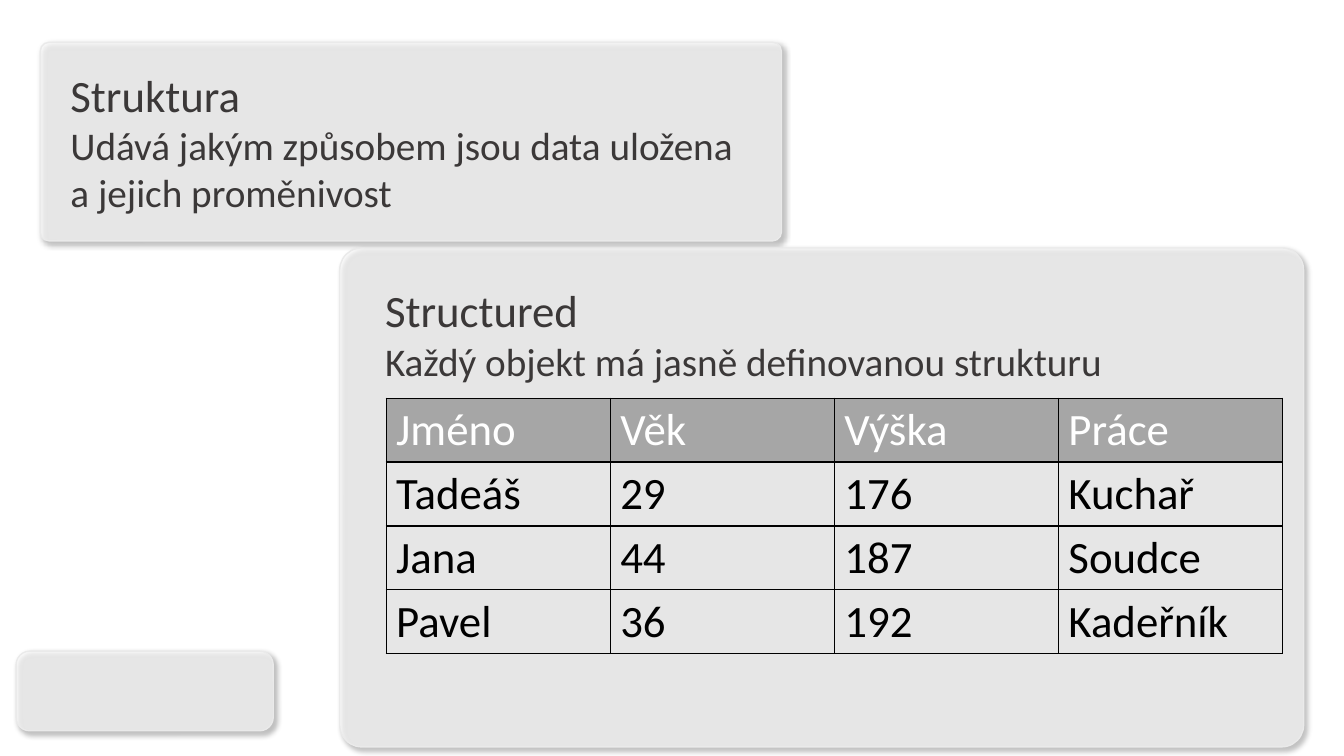
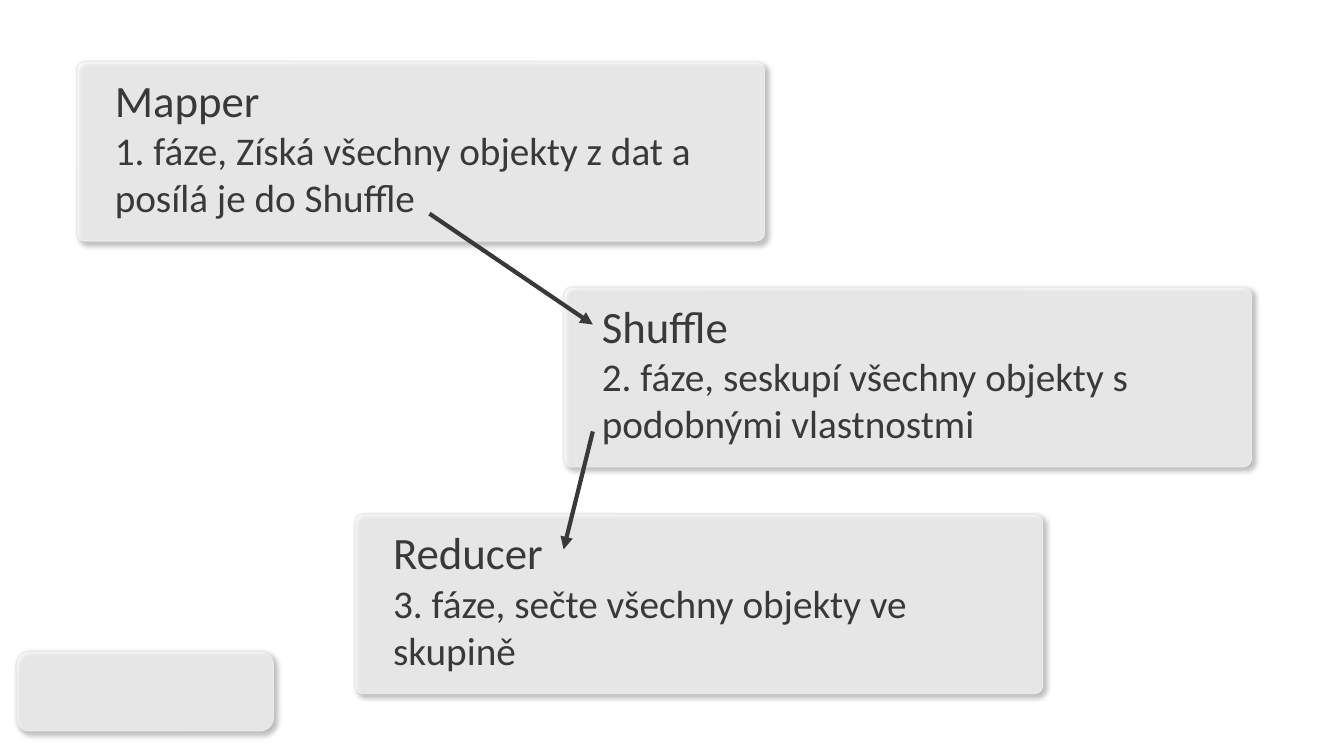
from lxml.etree import SubElement
from pptx import Presentation
from pptx.dml.color import RGBColor
from pptx.enum.shapes import MSO_CONNECTOR, MSO_SHAPE
from pptx.enum.text import MSO_AUTO_SIZE
from pptx.oxml import parse_xml
from pptx.oxml.ns import nsdecls, qn
from pptx.util import Inches, Pt

COLORS = {
    "panel": "FFFFFF",
    "edge": "EAEAEA",
    "ink": "3B3838",
    "head": "A6A6A6",
    "light": "FFFFFF",
    "dark": "000000",
}
FONT = "Calibri"
HEAD_SIZE, BODY_SIZE = 32, 28
STEP_SIZE = (6.82, 1.78)
ROWS = [
    ["Jméno", "Věk", "Výška", "Práce"],
    ["Tadeáš", "29", "176", "Kuchař"],
    ["Jana", "44", "187", "Soudce"],
    ["Pavel", "36", "192", "Kadeřník"],
]
STEPS = [
    (0.76, 0.61, ["Mapper", "1. fáze, Získá všechny objekty z dat a",
                  "posílá je do Shuffle"]),
    (5.59, 2.85, ["Shuffle", "2. fáze, seskupí všechny objekty s podobnými vlastnostmi"]),
    (3.52, 5.1, ["Reducer", "3. fáze, sečte všechny objekty ve skupině"]),
]
ARROWS = [((4.26, 2.12), (5.88, 3.22)), ((5.88, 4.28), (5.59, 5.45))]


def color(name):
    """Return the named colour."""
    return RGBColor.from_string(COLORS[name])


def style(par, size, name):
    """Format the runs of a paragraph."""
    for run in par.runs:
        run.font.name = FONT
        run.font.size = Pt(size)
        run.font.bold = False
        run.font.color.rgb = color(name)


def add_panel(slide, left, top, width, height, round_by=0.044):
    """Add a translucent rounded panel with a soft shadow."""
    panel = slide.shapes.add_shape(
        MSO_SHAPE.ROUNDED_RECTANGLE,
        Inches(left), Inches(top), Inches(width), Inches(height))
    panel.adjustments[0] = round_by
    panel.fill.solid()
    panel.fill.fore_color.rgb = color("panel")
    tint = panel.fill._xPr.find(qn("a:solidFill"))[0]
    SubElement(tint, qn("a:alpha"), val="60000")
    panel.line.color.rgb = color("edge")
    panel.line.width = Pt(1)
    panel.shadow.inherit = False
    glow = panel._element.spPr.find(qn("a:effectLst"))
    glow.append(parse_xml(
        f'<a:outerShdw {nsdecls("a")} blurRad="{Pt(4)}" dist="{Pt(3)}" '
        f'dir="2700000" algn="tl" rotWithShape="0">'
        f'<a:srgbClr val="{COLORS["dark"]}"><a:alpha val="40000"/></a:srgbClr>'
        f'</a:outerShdw>'))


def add_text(slide, left, top, width, height, lines):
    """Add a heading with body lines below it."""
    box = slide.shapes.add_textbox(
        Inches(left), Inches(top), Inches(width), Inches(height))
    frame = box.text_frame
    frame.word_wrap = True
    frame.auto_size = MSO_AUTO_SIZE.SHAPE_TO_FIT_TEXT
    frame.text = "\n".join(lines)
    for i, par in enumerate(frame.paragraphs):
        style(par, BODY_SIZE if i else HEAD_SIZE, "ink")


def add_step(slide, left, top, lines):
    """Add a panel that tells of one phase."""
    add_panel(slide, left, top, *STEP_SIZE)
    add_text(slide, left + 0.28, top + 0.06, 6.45, 1.58, lines)


def add_arrow(slide, start, end):
    """Add a straight arrow between two points."""
    arrow = slide.shapes.add_connector(
        MSO_CONNECTOR.STRAIGHT, *map(Inches, start + end))
    arrow.line.color.rgb = color("ink")
    arrow.line.width = Pt(3)
    SubElement(arrow.line._get_or_add_ln(), qn("a:tailEnd"), type="triangle")
    SubElement(arrow._element.spPr, qn("a:effectLst"))


def set_edges(cell):
    """Draw a thin line on each side of a cell."""
    props = cell._tc.get_or_add_tcPr()
    for side in ("lnL", "lnR", "lnT", "lnB"):
        line = SubElement(props, qn(f"a:{side}"), w=str(Pt(1)))
        fill = SubElement(line, qn("a:solidFill"))
        SubElement(fill, qn("a:srgbClr"), val=COLORS["dark"])


def add_grid(slide, left, top, width, height, rows):
    """Add a ruled table with a grey head row."""
    table = slide.shapes.add_table(
        len(rows), len(rows[0]),
        Inches(left), Inches(top), Inches(width), Inches(height)).table
    table.first_row = table.horz_banding = False
    for r, row in enumerate(rows):
        for c, text in enumerate(row):
            cell = table.cell(r, c)
            cell.text_frame.text = text
            style(cell.text_frame.paragraphs[0], HEAD_SIZE, "dark" if r else "light")
            set_edges(cell)
            if r:
                cell.fill.background()
            else:
                cell.fill.solid()
                cell.fill.fore_color.rgb = color("head")


def add_slide(deck):
    """Add a blank slide with the shared corner panel."""
    slide = deck.slides.add_slide(deck.slide_layouts[6])
    add_panel(slide, 0.16, 6.46, 2.55, 0.79, 0.17)
    return slide


def build_table(deck):
    """Build the slide on data structure."""
    slide = add_slide(deck)
    add_panel(slide, 0.4, 0.42, 7.35, 1.97)
    add_text(slide, 0.6, 0.62, 6.95, 1.56, [
        "Struktura", "Udává jakým způsobem jsou data uložena a jejich proměnivost"])
    add_panel(slide, 3.37, 2.46, 9.56, 4.95)
    add_text(slide, 3.72, 2.76, 7.98, 1.11, [
        "Structured", "Každý objekt má jasně definovanou strukturu"])
    add_grid(slide, 3.83, 3.95, 8.89, 2.53, ROWS)


def build_steps(deck):
    """Build the slide on the three phases."""
    slide = add_slide(deck)
    for step in STEPS:
        add_step(slide, *step)
    for start, end in ARROWS:
        add_arrow(slide, start, end)


def main():
    """Build and save the deck."""
    deck = Presentation()
    deck.slide_width, deck.slide_height = Inches(13.33), Inches(7.5)
    build_table(deck)
    build_steps(deck)
    deck.save("out.pptx")


main()
